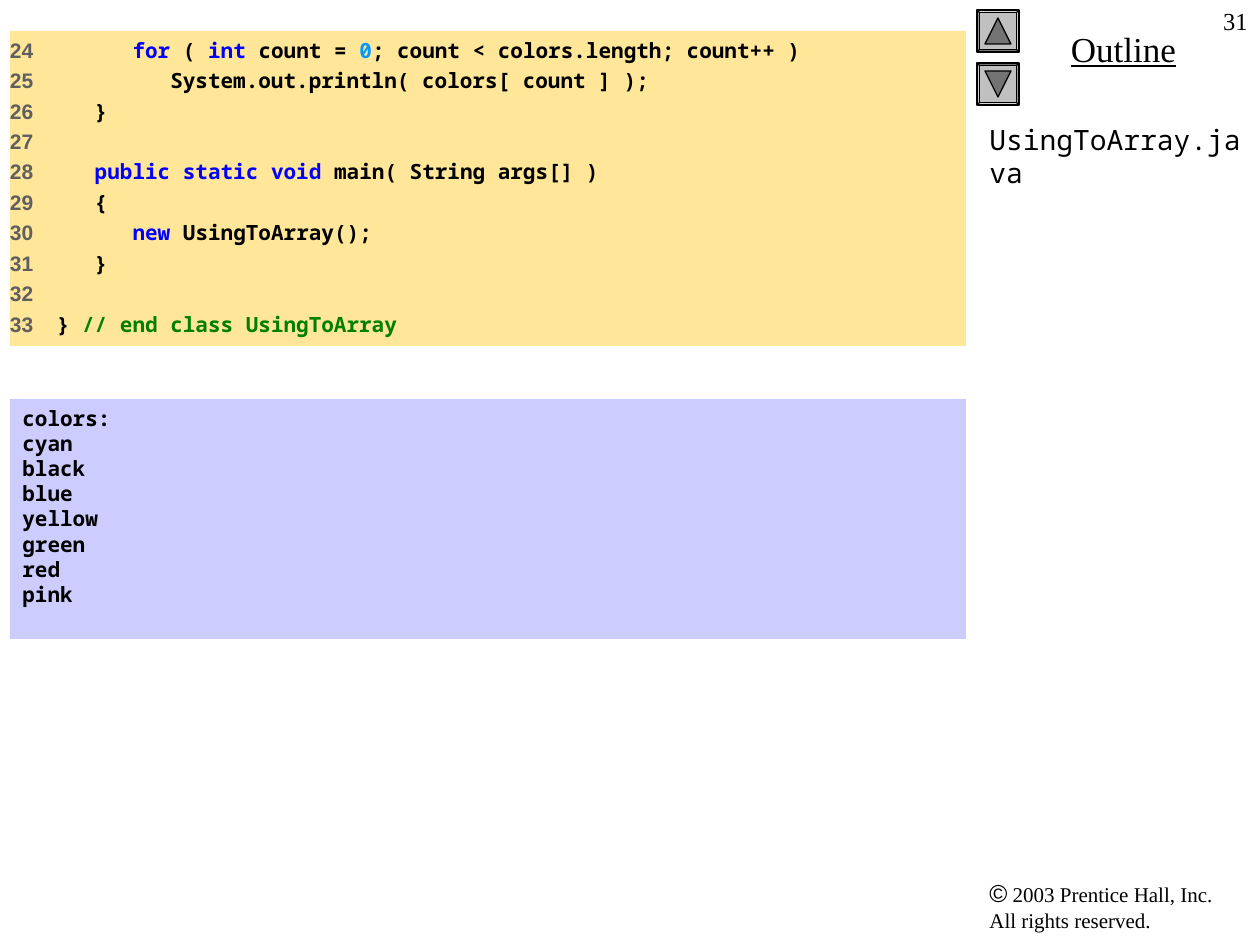
from dataclasses import dataclass

from lxml import etree
from pptx import Presentation
from pptx.dml.color import RGBColor
from pptx.enum.shapes import MSO_SHAPE
from pptx.enum.text import MSO_ANCHOR, PP_ALIGN
from pptx.oxml.ns import qn
from pptx.util import Emu, Pt

RECT, BEVEL = MSO_SHAPE.RECTANGLE, MSO_SHAPE.BEVEL
ARROW = MSO_SHAPE.ISOSCELES_TRIANGLE
LEFT, MID, RIGHT = PP_ALIGN.LEFT, PP_ALIGN.CENTER, PP_ALIGN.RIGHT
TOP = MSO_ANCHOR.TOP
SCALE = 914400 / 126  # EMU per px


@dataclass(frozen=True)
class Theme:
    ink: str = "000000"
    number: str = "5F5F5F"
    key: str = "0000FF"
    value: str = "0099FF"
    note: str = "008000"
    code: str = "FFE699"
    out: str = "CCCCFF"
    button: str = "C0C0C0"
    arrow: str = "737373"
    mono: str = "Noto Sans Mono"
    sans: str = "Arial"
    serif: str = "Times New Roman"
    small: int = 12
    page: int = 14
    name: int = 16
    head: int = 20


T = Theme()

CODE = [
    (24, [("      ", T.ink), ("for", T.key), (" ( ", T.ink), ("int", T.key),
          (" count = ", T.ink), ("0", T.value),
          ("; count < colors.length; count++ )", T.ink)]),
    (25, [("         System.out.println( colors[ count ] );", T.ink)]),
    (26, [("   }", T.ink)]),
    (27, []),
    (28, [("   ", T.ink), ("public static void", T.key),
          (" main( String args[] )", T.ink)]),
    (29, [("   {", T.ink)]),
    (30, [("      ", T.ink), ("new", T.key), (" UsingToArray();", T.ink)]),
    (31, [("   }", T.ink)]),
    (32, []),
    (33, [("} ", T.ink), ("// end class UsingToArray", T.note)]),
]
COLORS = ["colors:", "cyan", "black", "blue", "yellow", "green", "red", "pink"]


def px(n):
    return Emu(round(n * SCALE))


def style(run, face, size, color=T.ink, bold=False):
    font = run.font
    font.name, font.size, font.bold = face, Pt(size), bold
    font.color.rgb = RGBColor.from_string(color)


def add(par, text, *look):
    run = par.add_run()
    run.text = text
    style(run, *look)


def shape(slide, kind, box, fill, line=False):
    item = slide.shapes.add_shape(kind, *map(px, box))
    item.shadow.inherit = False
    item.fill.solid()
    item.fill.fore_color.rgb = RGBColor.from_string(fill)
    if line:
        item.line.color.rgb = RGBColor.from_string(T.ink)
        item.line.width = Pt(0.75)
    else:
        item.line.fill.background()
    return item


def label(slide, box, text, face, size, align=LEFT):
    frame = slide.shapes.add_textbox(*map(px, box)).text_frame
    frame.word_wrap = True
    par = frame.paragraphs[0]
    par.text = text
    par.alignment = align
    for run in par.runs:
        style(run, face, size)
    return par


def panel(slide, box, fill):
    frame = shape(slide, RECT, box, fill).text_frame
    frame.word_wrap = True
    frame.vertical_anchor = TOP
    return frame


def stop(par, pos):
    """Set one left tab stop, pos px from the text edge."""
    tabs = etree.SubElement(par._p.get_or_add_pPr(), qn("a:tabLst"))
    etree.SubElement(tabs, qn("a:tab"), pos=str(px(pos)), algn="l")


def listing(slide, box):
    frame = panel(slide, box, T.code)
    frame.margin_left = 0
    for i, (number, parts) in enumerate(CODE):
        par = frame.add_paragraph() if i else frame.paragraphs[0]
        par.alignment = LEFT
        if i:
            par.space_before = Pt(3)
        stop(par, 47)
        tail = "\t" if parts else ""
        add(par, f"{number}{tail}", T.sans, T.small, T.number, True)
        for text, color in parts:
            add(par, text, T.mono, T.small, color, True)


def output(slide, box):
    frame = panel(slide, box, T.out)
    frame.text = "\n".join(COLORS)
    for par in frame.paragraphs:
        par.alignment = LEFT
        style(par.runs[0], T.mono, T.small, T.ink, True)


def button(slide, box, turn):
    """Draw a bevelled key whose arrow is turned by the given degrees."""
    x, y, w, h = box
    base = shape(slide, BEVEL, box, T.button, True)
    base.adjustments[0] = 0.06
    base.rotation = 90 + turn
    inset = 8
    inner = (x + inset, y + inset, w - 2 * inset, h - 2 * inset)
    shape(slide, ARROW, inner, T.arrow, True).rotation = turn


def sidebar(slide, box):
    x, y, w, h = box
    for i in range(2):
        button(slide, (x, y + 10 + 53 * i, 42, 42), 180 * i)
    head = label(slide, (x + 10, y + 21, w - 10, 55), "Outline",
                 T.serif, T.head, MID)
    head.runs[0].font.underline = True
    label(slide, (x + w - 63, y, 63, 63), "31", T.serif, T.page, RIGHT)
    label(slide, (x, y + 116, w, 756), "UsingToArray.java", T.mono, T.name)
    foot = label(slide, (x, y + h - 73, w - 10, 68), "©", T.sans, T.page)
    add(foot, " 2003 Prentice Hall, Inc.", T.serif, T.small)
    foot.add_line_break()
    add(foot, "All rights reserved.", T.serif, T.small)


def main():
    deck = Presentation()
    deck.slide_width, deck.slide_height = px(1260), px(945)
    slide = deck.slides.add_slide(deck.slide_layouts[6])
    listing(slide, (10, 31, 956, 315))
    output(slide, (10, 399, 956, 240))
    sidebar(slide, (977, 0, 283, 945))
    deck.save("out.pptx")


if __name__ == "__main__":
    main()
